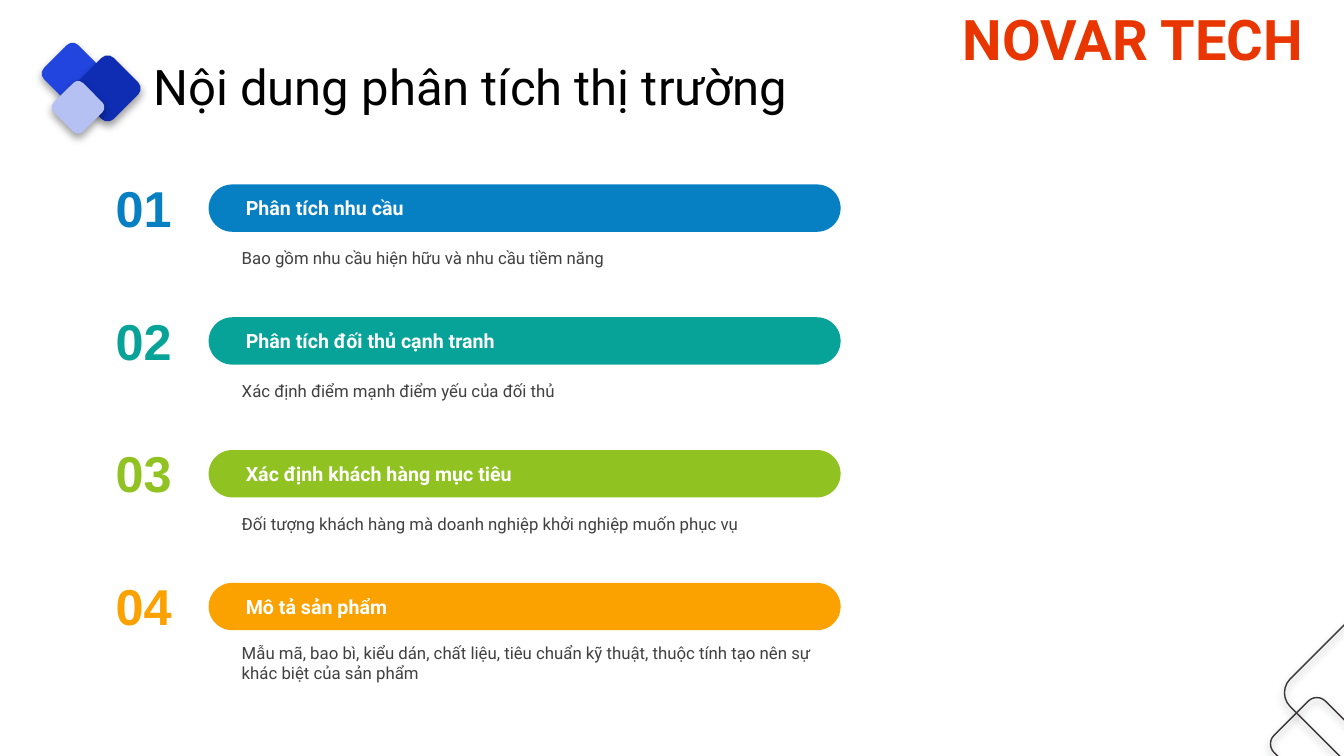
"""Build the market analysis contents slide."""
from dataclasses import dataclass
from typing import Optional

from lxml.etree import SubElement
from pptx import Presentation
from pptx.dml.color import RGBColor
from pptx.enum.shapes import MSO_SHAPE
from pptx.enum.text import MSO_ANCHOR, PP_ALIGN
from pptx.oxml.ns import qn
from pptx.util import Inches, Pt

SLIDE_WIDTH, SLIDE_HEIGHT = Inches(13.33), Inches(7.5)
COLUMN, ROW = SLIDE_WIDTH / 40, SLIDE_HEIGHT / 30
TOPIC_PITCH = 5.27
FIRST_TOPIC_ROW = 6.8
COLORS = {
    "royal": "2345DF", "navy": "0E2DB2", "lavender": "B5C1F2",
    "outline": "393737", "brand": "E93601", "title": "000000",
    "detail": "404040", "white": "FFFFFF", "blue": "0680C3",
    "teal": "07A398", "green": "90C221", "orange": "FBA200",
}


@dataclass(frozen=True)
class Diamond:
    """A tilted rounded square, its side measured in rows."""
    column: float
    row: float
    side: float
    fill: Optional[str] = None


@dataclass(frozen=True)
class Topic:
    """A numbered heading with its detail text."""
    heading: str
    detail: str
    color: str
    detail_offset: float = 2.32
    detail_rows: float = 1.2


DIAMONDS = [
    Diamond(1.44, 1.96, 1.92, "royal"),
    Diamond(2.43, 2.48, 2.06, "navy"),
    Diamond(1.71, 3.44, 1.64, "lavender"),
    Diamond(38.11, 28.08, 2.88),
    Diamond(38.71, 25.16, 4.66),
]
TOPICS = [
    Topic("Phân tích nhu cầu",
          "Bao gồm nhu cầu hiện hữu và nhu cầu tiềm năng", "blue"),
    Topic("Phân tích đối thủ cạnh tranh",
          "Xác định điểm mạnh điểm yếu của đối thủ", "teal"),
    Topic("Xác định khách hàng mục tiêu",
          "Đối tượng khách hàng mà doanh nghiệp khởi nghiệp muốn phục vụ", "green"),
    Topic("Mô tả sản phẩm",
          "Mẫu mã, bao bì, kiểu dán, chất liệu, tiêu chuẩn kỹ thuật, "
          "thuộc tính tạo nên sự khác biệt của sản phẩm", "orange", 2.16, 2),
]


def rgb(color: str) -> RGBColor:
    return RGBColor.from_string(COLORS[color])


def cells(column: float, row: float, columns: float, rows: float) -> tuple:
    return (round(column * COLUMN), round(row * ROW),
            round(columns * COLUMN), round(rows * ROW))


def write(holder, text: str, *, size: float, color: str, font: str = "Roboto",
          bold: bool = False, align=PP_ALIGN.LEFT, anchor=MSO_ANCHOR.MIDDLE,
          inset: float = 0.1) -> None:
    frame = holder.text_frame
    frame.word_wrap = True
    frame.vertical_anchor = anchor
    frame.margin_left, frame.margin_right = Inches(inset), Inches(0.1)
    frame.margin_top = frame.margin_bottom = Inches(0.05)
    paragraph = frame.paragraphs[0]
    paragraph.alignment = align
    run = paragraph.add_run()
    run.text = text
    run.font.name, run.font.size, run.font.bold = font, Pt(size), bold
    run.font.color.rgb = rgb(color)


def cast_shadow(shape) -> None:
    shape.shadow.inherit = False
    effects = shape.element.spPr.find(qn("a:effectLst"))
    shadow = SubElement(effects, qn("a:outerShdw"), blurRad=str(Pt(6)),
                        dist=str(Pt(3)), dir="5400000", rotWithShape="0")
    black = SubElement(shadow, qn("a:srgbClr"), val="000000")
    SubElement(black, qn("a:alpha"), val="39000")


def draw_diamond(slide, diamond: Diamond) -> None:
    columns = diamond.side * ROW / COLUMN
    square = slide.shapes.add_shape(
        MSO_SHAPE.ROUNDED_RECTANGLE,
        *cells(diamond.column, diamond.row, columns, diamond.side))
    square.rotation = 45
    if diamond.fill:
        square.fill.solid()
        square.fill.fore_color.rgb = rgb(diamond.fill)
        square.line.fill.background()
    else:
        square.fill.background()
        square.line.color.rgb = rgb("outline")
        square.line.width = Pt(1)
    cast_shadow(square)


def draw_topic(slide, index: int, topic: Topic) -> None:
    row = FIRST_TOPIC_ROW + index * TOPIC_PITCH
    bar_row = row + 0.52
    number = slide.shapes.add_textbox(*cells(2.7, row, 3.15, 2.84))
    write(number, f"{index + 1:02}", size=36, color=topic.color,
          font="Arial", bold=True, align=PP_ALIGN.CENTER)
    detail = slide.shapes.add_textbox(
        *cells(6.9, bar_row + topic.detail_offset, 18.12, topic.detail_rows))
    write(detail, topic.detail, size=12, color="detail")
    bar = slide.shapes.add_shape(
        MSO_SHAPE.ROUNDED_RECTANGLE, *cells(6.21, bar_row, 18.81, 1.88))
    bar.adjustments[0] = 0.5
    bar.shadow.inherit = False
    bar.fill.solid()
    bar.fill.fore_color.rgb = rgb(topic.color)
    bar.line.fill.background()
    write(bar, topic.heading, size=14, color="white", bold=True, inset=0.3)


def main() -> None:
    deck = Presentation()
    deck.slide_width, deck.slide_height = SLIDE_WIDTH, SLIDE_HEIGHT
    slide = deck.slides.add_slide(deck.slide_layouts.get_by_name("Title Only"))
    for diamond in DIAMONDS:
        draw_diamond(slide, diamond)
    brand = slide.shapes.add_textbox(*cells(28.36, 0, 11.67, 3.08))
    write(brand, "NOVAR TECH", size=40, color="brand", bold=True,
          anchor=MSO_ANCHOR.TOP)
    title = slide.shapes.title
    title.left, title.top, title.width, title.height = cells(4.26, 2.04, 28.87, 2.76)
    write(title, "Nội dung phân tích thị trường", size=35, color="title",
          anchor=MSO_ANCHOR.TOP)
    for index, topic in enumerate(TOPICS):
        draw_topic(slide, index, topic)
    deck.save("out.pptx")


if __name__ == "__main__":
    main()
